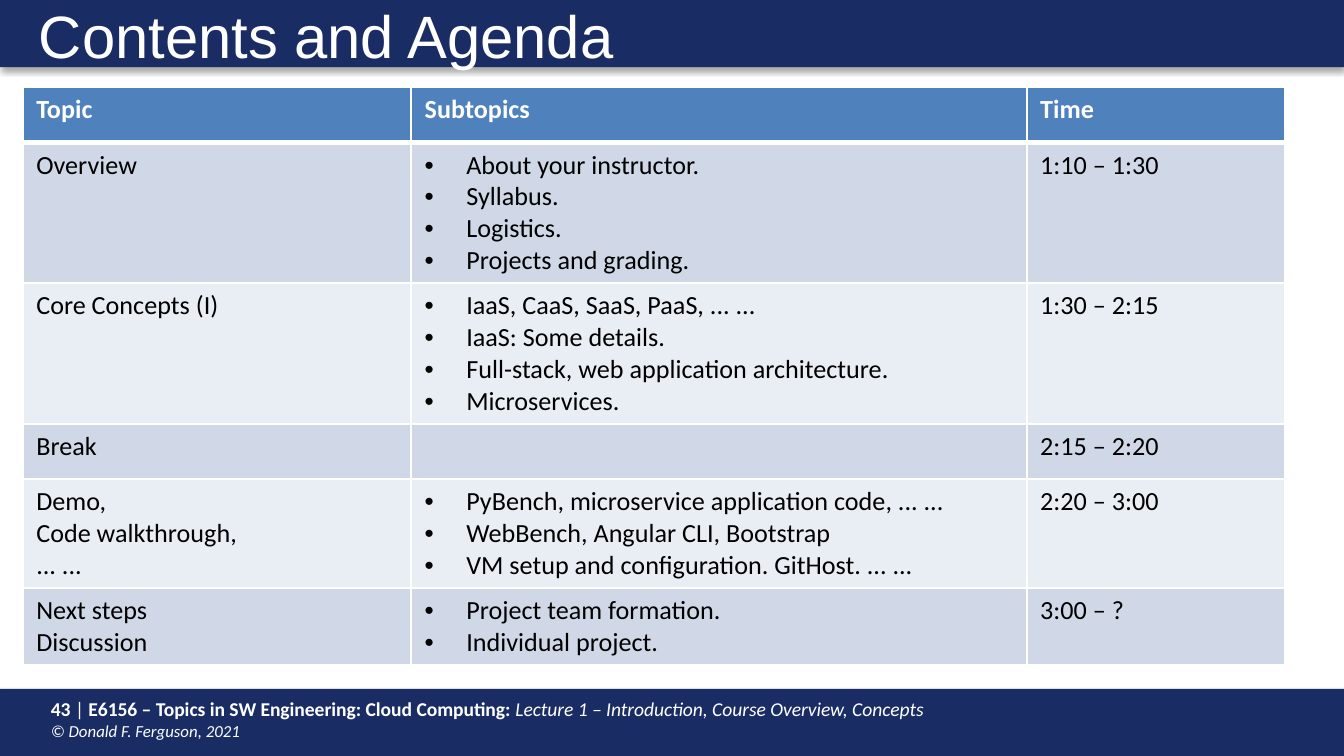
from pptx import Presentation
from pptx.dml.color import RGBColor
from pptx.enum.shapes import MSO_SHAPE
from pptx.enum.text import MSO_ANCHOR, PP_ALIGN
from pptx.oxml import parse_xml
from pptx.oxml.ns import nsdecls, qn
from pptx.util import Inches, Pt

# Content
TITLE = "Contents and Agenda"
HEADER = ("Topic", "Subtopics", "Time")
AGENDA = [
    (["Overview"],
     ["About your instructor.", "Syllabus.", "Logistics.", "Projects and grading."],
     ["1:10 – 1:30"]),
    (["Core Concepts (I)"],
     ["IaaS, CaaS, SaaS, PaaS, ... ...", "IaaS: Some details.",
      "Full-stack, web application architecture.", "Microservices."],
     ["1:30 – 2:15"]),
    (["Break"], [], ["2:15 – 2:20"]),
    (["Demo,", "Code walkthrough,", "... ..."],
     ["PyBench, microservice application code, ... ...",
      "WebBench, Angular CLI, Bootstrap",
      "VM setup and configuration. GitHost. ... ..."],
     ["2:20 – 3:00"]),
    (["Next steps", "Discussion"],
     ["Project team formation.", "Individual project."],
     ["3:00 – ?"]),
]
# Footer spans: text, size key, bold, italic
FOOTER = [
    ("43 ", "footer", True, False),
    ("|", "footer", False, False),
    (" E6156 – Topics in SW Engineering: Cloud Computing: ", "footer", True, False),
    ("Lecture 1 – Introduction, Course Overview, Concepts", "footer", False, True),
    "break",
    ("© Donald F. Ferguson, 2021", "copyright", False, True),
]

THEME = {
    "navy": "1A2C64", "white": "FFFFFF", "black": "000000",
    "header": "4F81BD", "bands": ("D0D8E8", "E9EDF4"),
    "title_font": "Arial", "body_font": "Calibri",
    "title": 32, "table": 14, "footer": 10.5, "copyright": 9,
}

# Layout, in inches, on a 16:9 page
WIDTH, BAR_HEIGHT = 10, 0.5
HEIGHT = WIDTH * 9 / 16
COLUMN_WIDTHS = (2.89, 4.58, 1.92)
MIN_ROW, CELL_MARGINS, LINE_HEIGHT = 0.41, 0.1, 0.23
BULLET_INDENT = 0.31


def color(name):
    return RGBColor.from_string(THEME.get(name, name))


def style(font, family, size, ink, bold=False, italic=False):
    font.name, font.size = THEME[family], Pt(THEME[size])
    font.color.rgb = color(ink)
    font.bold, font.italic = bold, italic


def add_bar(page, top):
    bar = page.shapes.add_shape(MSO_SHAPE.RECTANGLE, 0, Inches(top),
                                Inches(WIDTH), Inches(BAR_HEIGHT))
    bar.fill.solid()
    bar.fill.fore_color.rgb = color("navy")
    bar.line.fill.background()
    bar.shadow.inherit = False
    bar._element.spPr.find(qn("a:effectLst")).append(parse_xml(
        f'<a:outerShdw {nsdecls("a")} blurRad="{Pt(3.1)}" dist="{Pt(1.8)}" '
        'dir="5400000" rotWithShape="0"><a:srgbClr val="000000">'
        '<a:alpha val="35000"/></a:srgbClr></a:outerShdw>'))


def add_bullet(para):
    properties = para._p.get_or_add_pPr()
    properties.set("marL", str(Inches(BULLET_INDENT)))
    properties.set("indent", str(-Inches(BULLET_INDENT)))
    properties.append(parse_xml(f'<a:buFont {nsdecls("a")} typeface="Arial"/>'))
    properties.append(parse_xml(f'<a:buChar {nsdecls("a")} char="•"/>'))


def add_borders(cell, top, bottom):
    properties = cell._tc.get_or_add_tcPr()
    widths = {"lnL": 1, "lnR": 1, "lnT": top, "lnB": bottom}
    for index, (side, width) in enumerate(widths.items()):
        properties.insert(index, parse_xml(
            f'<a:{side} {nsdecls("a")} w="{Pt(width)}"><a:solidFill>'
            f'<a:srgbClr val="{THEME["white"]}"/></a:solidFill></a:{side}>'))


def fill_cell(cell, lines, fill, ink, bold=False, bullets=False, top=1, bottom=1):
    cell.fill.solid()
    cell.fill.fore_color.rgb = color(fill)
    add_borders(cell, top, bottom)
    frame = cell.text_frame
    frame.text = "\n".join(lines)
    for para in frame.paragraphs:
        if bullets and lines:
            add_bullet(para)
        style(para.font, "body_font", "table", ink, bold)


def add_agenda(page):
    heights = [MIN_ROW] + [
        max(MIN_ROW, CELL_MARGINS + LINE_HEIGHT * max(map(len, row))) for row in AGENDA]
    table = page.shapes.add_table(
        len(heights), len(HEADER), Inches(0.17), Inches(0.65),
        Inches(sum(COLUMN_WIDTHS)), Inches(sum(heights))).table
    for column, width in zip(table.columns, COLUMN_WIDTHS):
        column.width = Inches(width)
    for row, height in zip(table.rows, heights):
        row.height = Inches(height)
    for column, label in enumerate(HEADER):
        fill_cell(table.cell(0, column), [label], "header", "white", bold=True, bottom=3)
    for index, row in enumerate(AGENDA):
        for column, lines in enumerate(row):
            fill_cell(table.cell(index + 1, column), lines, THEME["bands"][index % 2],
                      "black", bullets=column == 1, top=1 if index else 3)


def add_footer(page):
    box = page.shapes.add_textbox(Inches(0.28), Inches(5.14), Inches(7.42), Inches(0.43))
    box.text_frame.word_wrap = True
    para = box.text_frame.paragraphs[0]
    for part in FOOTER:
        if part == "break":
            para.add_line_break()
            continue
        text, size, bold, italic = part
        span = para.add_run()
        span.text = text
        style(span.font, "body_font", size, "white", bold, italic)


def add_title(page):
    title = page.shapes.title
    # Move the title in front of the bars
    page.shapes._spTree.append(title._element)
    title.left, title.top = Inches(0.19), Inches(0)
    title.width, title.height = Inches(9.48), Inches(0.48)
    frame = title.text_frame
    frame.text = TITLE
    frame.word_wrap = True
    frame.vertical_anchor = MSO_ANCHOR.TOP
    para = frame.paragraphs[0]
    para.alignment, para.line_spacing = PP_ALIGN.LEFT, 0.9
    style(para.font, "title_font", "title", "white")


def main():
    deck = Presentation()
    deck.slide_width, deck.slide_height = Inches(WIDTH), Inches(HEIGHT)
    page = deck.slides.add_slide(deck.slide_layouts[5])
    add_bar(page, HEIGHT - BAR_HEIGHT)
    add_footer(page)
    add_bar(page, 0)
    add_title(page)
    add_agenda(page)
    deck.save("out.pptx")


if __name__ == "__main__":
    main()
